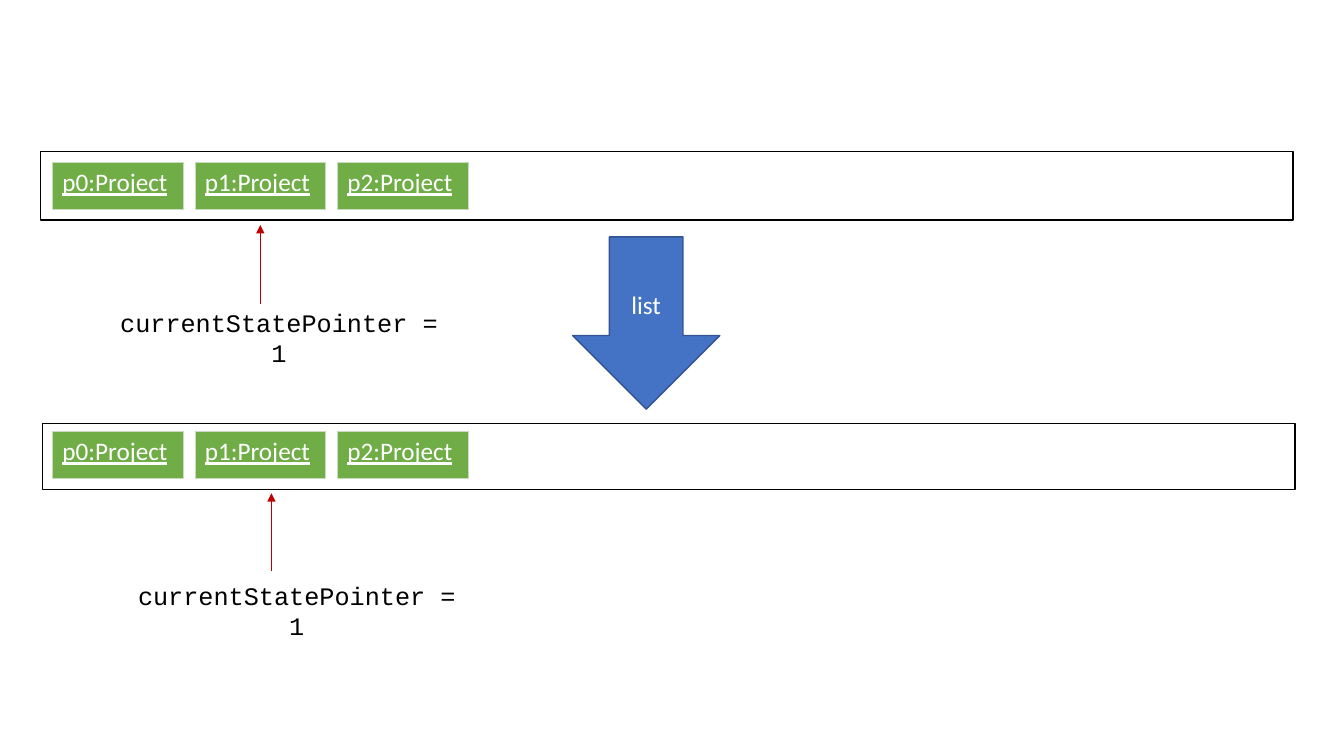
from pptx import Presentation
from pptx.dml.color import RGBColor
from pptx.enum.shapes import MSO_CONNECTOR, MSO_SHAPE
from pptx.enum.text import MSO_ANCHOR, MSO_AUTO_SIZE, PP_ALIGN
from pptx.oxml import parse_xml
from pptx.oxml.ns import nsdecls
from pptx.util import Cm, Pt

PROJECTS = ["p0:Project", "p1:Project", "p2:Project"]
CELL_W, CELL_H, STEP = 3.3, 1.17, 3.59


def color(text):
    return RGBColor.from_string(text)


def add_xml(parent, text):
    """Append an element given as an a: tag."""
    tag, rest = text.split(" ", 1)
    parent.append(parse_xml(f"<{tag} {nsdecls('a')} {rest}"))


def write(frame, text, font, ink, align=PP_ALIGN.CENTER):
    par = frame.paragraphs[0]
    par.text = text
    par.alignment = align
    par.font.name = font
    par.font.size = Pt(18)
    par.font.color.rgb = color(ink)
    return par


def add_box(slide, kind, place, fill, line):
    box = slide.shapes.add_shape(kind, *map(Cm, place))
    box.shadow.inherit = False
    if fill:
        box.fill.solid()
        box.fill.fore_color.rgb = color(fill)
    else:
        box.fill.background()
    box.line.color.rgb = color(line)
    box.line.width = Pt(1)
    return box


def add_label(slide, left, top):
    box = slide.shapes.add_textbox(Cm(left), Cm(top), Cm(8.92), Cm(1.02))
    frame = box.text_frame
    frame.word_wrap = True
    frame.auto_size = MSO_AUTO_SIZE.SHAPE_TO_FIT_TEXT
    write(frame, "currentStatePointer = 1", "Courier New", "000000")


def add_pointer(slide, x, start, end):
    link = slide.shapes.add_connector(
        MSO_CONNECTOR.STRAIGHT, Cm(x), Cm(start), Cm(x), Cm(end))
    link.line.color.rgb = color("C00000")
    link.line.width = Pt(0.5)
    add_xml(link.line._get_or_add_ln(), 'a:tailEnd type="triangle"/>')
    add_xml(link._element.spPr, "a:effectLst />")


def add_project(slide, name, left, top):
    grid = slide.shapes.add_table(
        1, 1, Cm(left), Cm(top), Cm(CELL_W), Cm(CELL_H)).table
    cell = grid.cell(0, 0)
    par = write(cell.text_frame, name, "Calibri", "FFFFFF", PP_ALIGN.LEFT)
    par.font.underline = True
    par.font.bold = False
    # Borders come before the fill in the cell properties
    props = cell._tc.get_or_add_tcPr()
    for side in "LRTB":
        add_xml(props, f'a:ln{side} w="{Pt(0.5)}"><a:solidFill>'
                       f'<a:srgbClr val="C9DBC1"/></a:solidFill></a:ln{side}>')
    cell.fill.solid()
    cell.fill.fore_color.rgb = color("70AD47")


def add_state(slide, bar, row, pointer, label):
    add_box(slide, MSO_SHAPE.RECTANGLE, bar, None, "000000")
    add_label(slide, *label)
    add_pointer(slide, *pointer)
    for i, name in enumerate(PROJECTS):
        add_project(slide, name, 1.32 + i * STEP, row)


def main():
    deck = Presentation()
    deck.slide_width, deck.slide_height = Cm(33.87), Cm(19.05)
    slide = deck.slides.add_slide(deck.slide_layouts[6])

    # Command between the two states
    arrow = add_box(slide, MSO_SHAPE.DOWN_ARROW, (14.43, 5.97, 3.71, 4.34),
                    "4472C4", "325491")
    arrow.text_frame.vertical_anchor = MSO_ANCHOR.MIDDLE
    write(arrow.text_frame, "list", "Calibri", "FFFFFF")

    # State before, state after
    add_state(slide, bar=(1.02, 3.82, 31.57, 1.73), row=4.1,
              pointer=(6.56, 7.65, 5.67), label=(2.57, 7.62))
    add_state(slide, bar=(1.07, 10.68, 31.57, 1.65), row=10.88,
              pointer=(6.84, 14.4, 12.43), label=(3.02, 14.5))

    deck.save("out.pptx")


main()
